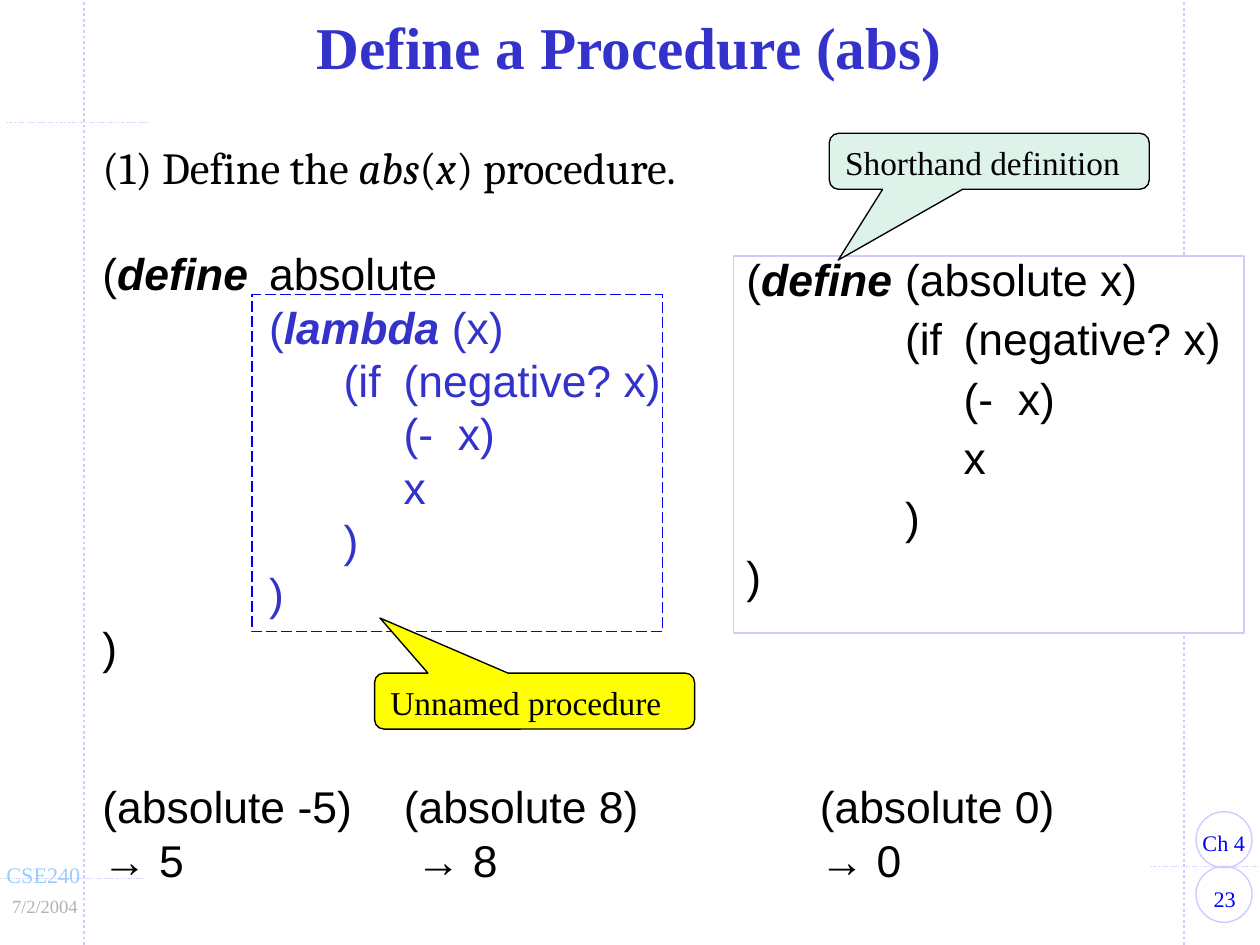
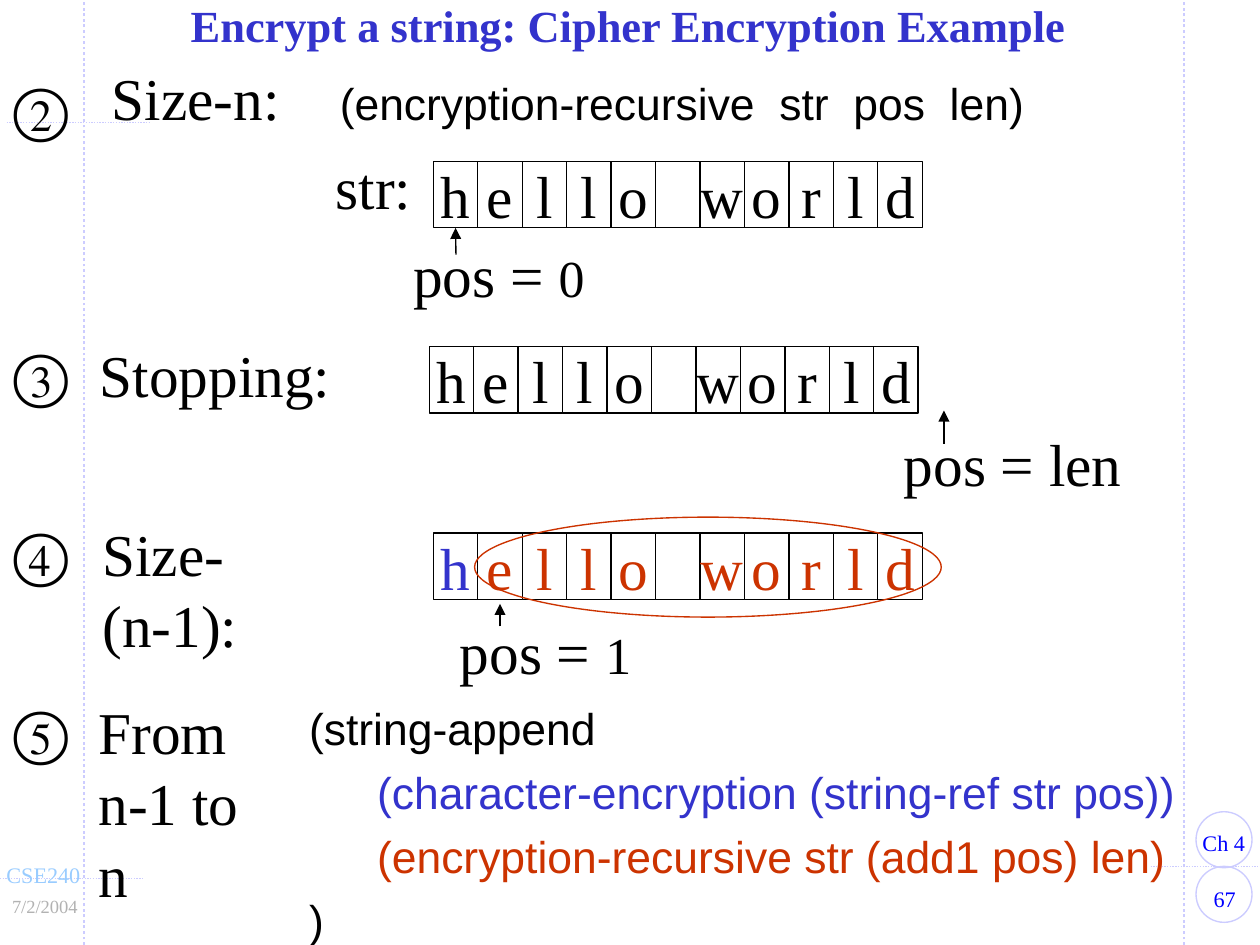
from lxml import etree
from pptx import Presentation
from pptx.dml.color import RGBColor
from pptx.enum.dml import MSO_LINE
from pptx.enum.shapes import MSO_CONNECTOR, MSO_SHAPE
from pptx.enum.text import MSO_ANCHOR, MSO_AUTO_SIZE, PP_ALIGN
from pptx.oxml.ns import qn
from pptx.util import Inches, Pt

RECT = MSO_SHAPE.RECTANGLE
OVAL = MSO_SHAPE.OVAL
CALLOUT = MSO_SHAPE.ROUNDED_RECTANGULAR_CALLOUT
STRAIGHT = MSO_CONNECTOR.STRAIGHT
DOTTED = MSO_LINE.ROUND_DOT
DASHED = MSO_LINE.LONG_DASH
LEFT, CENTER, RIGHT = PP_ALIGN.LEFT, PP_ALIGN.CENTER, PP_ALIGN.RIGHT
TOP, MIDDLE = MSO_ANCHOR.TOP, MSO_ANCHOR.MIDDLE
NO_AUTOFIT = MSO_AUTO_SIZE.NONE

COLORS = {
    "black": "000000",
    "white": "FFFFFF",
    "indigo": "3333CC",
    "blue": "0000FF",
    "lavender": "CCCCFF",
    "sky": "99CCFF",
    "gray": "B2B2B2",
    "yellow": "FFFF00",
    "mint": "DDF3EA",
    "red": "CC3300",
}
SERIF, SANS, MATH = "Times New Roman", "Arial", "Cambria"
WIDTH, HEIGHT = 9.45, 7.09
CELL_W, CELL_H = 1 / 3, 0.5
BOLD_ITALIC = {"bold": True, "italic": True}
ITALIC = {"italic": True}
INDIGO = {"color": "indigo"}
RED = {"color": "red"}


def rgb(name):
    return RGBColor.from_string(COLORS[name])


class Deck:
    def __init__(self):
        self.prs = Presentation()
        self.prs.slide_width = Inches(WIDTH)
        self.prs.slide_height = Inches(HEIGHT)
        self.s = None

    def slide(self, title, at, size, number):
        self.s = self.prs.slides.add_slide(self.prs.slide_layouts[5])
        self.frame(number)
        sp = self.s.shapes.title
        sp.left, sp.top, sp.width, sp.height = map(Inches, at)
        tf = sp.text_frame
        tf.auto_size = NO_AUTOFIT
        tf.word_wrap = True
        tf.vertical_anchor = MIDDLE
        self.fill_text(tf, [[(title, {"bold": True})]], size, color="indigo",
                       align=CENTER, leading=1.02)

    def frame(self, number):
        for x in (0.63, 8.88):
            self.line((x, HEIGHT), (x, 0), "lavender", 1.5, DOTTED)
        for x1, x2, y in ((0, 1.08, 6.59), (8.63, WIDTH, 6.5), (0.05, 1.13, 0.92)):
            self.line((x1, y), (x2, y), "lavender", 0.75, DOTTED)
        for y in (6.09, 6.5):
            self.shape(OVAL, (8.97, y, 0.42, 0.42), "lavender")
        self.text((8.92, 6.17, 0.52, 0.3), [["Ch 4"]], 12, color="blue")
        self.text((8.92, 6.59, 0.53, 0.3), [[str(number)]], 12, color="blue",
                  align=CENTER)
        self.text((-0.05, 6.41, 0.76, 0.3), [["CSE240"]], 12, color="sky")
        self.text((-0.01, 6.67, 0.69, 0.27), [["7/2/2004"]], 10, color="gray",
                  align=RIGHT)

    def fill_text(self, tf, paragraphs, size, font=SERIF, color="black", align=LEFT,
                  leading=1.2, first_leading=None, before=0, tabs=()):
        for i, runs in enumerate(paragraphs):
            p = tf.add_paragraph() if i else tf.paragraphs[0]
            if tabs:
                tab_list = etree.SubElement(p._p.get_or_add_pPr(), qn("a:tabLst"))
                for tab in tabs:
                    etree.SubElement(tab_list, qn("a:tab"), pos=str(Inches(tab)),
                                     algn="l")
            p.alignment = align
            ratio = leading if i else first_leading or leading
            p.line_spacing = Pt(round(ratio * size, 2))
            p.space_before = Pt(before if i else 0)
            for run in runs:
                text, style = (run, {}) if isinstance(run, str) else run
                r = p.add_run()
                r.text = text
                r.font.name = style.get("font", font)
                r.font.size = Pt(style.get("size", size))
                r.font.bold = style.get("bold", False)
                r.font.italic = style.get("italic", False)
                r.font.color.rgb = rgb(style.get("color", color))

    def text(self, at, paragraphs, size, wrap=False, **style):
        sp = self.s.shapes.add_textbox(*map(Inches, at))
        sp.text_frame.word_wrap = wrap
        self.fill_text(sp.text_frame, paragraphs, size, **style)

    def shape(self, kind, at, line, fill=None, dash=None):
        sp = self.s.shapes.add_shape(kind, *map(Inches, at))
        sp.shadow.inherit = False
        if fill:
            sp.fill.solid()
            sp.fill.fore_color.rgb = rgb(fill)
        else:
            sp.fill.background()
        sp.line.color.rgb = rgb(line)
        sp.line.width = Pt(0.75)
        if dash:
            sp.line.dash_style = dash
        sp.text_frame.vertical_anchor = TOP
        return sp

    def callout(self, at, label, fill, tip):
        sp = self.shape(CALLOUT, at, "black", fill)
        for i, value in enumerate((*tip, 0.167)):
            sp.adjustments[i] = value
        self.fill_text(sp.text_frame, [[label]], 18)

    def line(self, start, end, color="black", width=0.75, dash=None, arrow=False):
        c = self.s.shapes.add_connector(STRAIGHT, *map(Inches, (*start, *end)))
        c.line.color.rgb = rgb(color)
        c.line.width = Pt(width)
        if dash:
            c.line.dash_style = dash
        spPr = c.element.spPr
        if arrow:
            etree.SubElement(spPr.find(qn("a:ln")), qn("a:tailEnd"), type="triangle")
        etree.SubElement(spPr, qn("a:effectLst"))
        return c

    def cells(self, left, top, word, fill=None, first="black", rest="black"):
        cells = []
        for i, letter in enumerate(word):
            sp = self.shape(RECT, (left + i * CELL_W, top, CELL_W, CELL_H),
                            "black", fill)
            tf = sp.text_frame
            tf.margin_left = tf.margin_right = tf.margin_top = tf.margin_bottom = 0
            tf.vertical_anchor = MIDDLE
            tf.word_wrap = False
            if letter.strip():
                self.fill_text(tf, [[letter]], 32, color=rest if i else first,
                               align=CENTER)
            cells.append(sp)
        return cells

    def step(self, number, top, label_at, lines):
        self.text((0, top, 0.6, 0.63), [[number]], 32)
        self.text(label_at, [[line] for line in lines], 32)

    def pointer(self, x, tail_y, head_y, label_at, value, size):
        arrow = self.line((x, tail_y), (x, head_y), arrow=True)
        self.text(label_at, [["pos = ", (value, {"size": size})]], 32)
        return arrow


def define_procedure(deck):
    deck.slide("Define a Procedure (abs)", (0.69, 0.05, 8.06, 0.67), 32, 23)
    deck.text((0.67, 1, 5, 0.5),
              [["(1) Define the ", ("abs", ITALIC), "(", ("x", ITALIC),
                ") procedure."]], 24, wrap=True, font=MATH)
    body = ["\t\t(if\t(negative? x)", "\t\t\t(-  x)", "\t\t\tx", "\t\t)", "\t)"]
    deck.text((0.67, 1.8, 4.8, 3.3),
              [["(", ("define", BOLD_ITALIC), "\tabsolute"],
               [("\t(", INDIGO), ("lambda", {**BOLD_ITALIC, **INDIGO}),
                (" (x)", INDIGO)],
               *[[(line, INDIGO)] for line in body],
               [")"]], 24, wrap=True, font=SANS, tabs=(1.25, 1.81, 2.26))
    deck.text((0.67, 5.8, 8.08, 0.9),
              [["(absolute -5) \t(absolute 8) \t(absolute 0)"],
               ["→ 5\t → 8\t→ 0"]], 24, wrap=True, font=SANS, tabs=(2.26, 5.38))
    sp = deck.shape(RECT, (5.5, 1.92, 3.83, 2.83), "lavender", "white")
    deck.fill_text(sp.text_frame,
                   [["(", ("define", BOLD_ITALIC), "\t(absolute x)"],
                    ["\t(if\t(negative? x)"], ["\t\t(-  x)"], ["\t\tx"], ["\t)"],
                    [")"]],
                   24, font=SANS, leading=0.84, first_leading=0.96, before=12,
                   tabs=(1.19, 1.63))
    deck.shape(RECT, (1.89, 2.21, 3.08, 2.53), "blue", dash=DASHED)
    deck.callout((2.81, 5.05, 2.4, 0.42), "Unnamed procedure", "yellow",
                 (-0.483, -1.484))
    deck.callout((6.22, 1, 2.4, 0.42), "Shorthand definition", "mint",
                 (-0.472, 1.766))


def encrypt_string(deck):
    word = "hello world"
    deck.slide("Encrypt a string: Cipher Encryption Example",
               (0.42, -0.12, 8.58, 0.67), 24, 67)

    deck.text((0, 0.49, 0.6, 0.63), [["②"]], 32)
    deck.text((0.74, 0.41, 7.11, 0.64),
              [["Size-n:\t", ("(encryption-recursive  str  pos  len)",
                              {"font": SANS, "size": 24})]],
              32, wrap=True, tabs=(1.71,))
    deck.text((2.42, 1.08, 0.77, 0.63), [["str:"]], 32)
    cells = deck.cells(3.25, 1.21, word)
    arrow = deck.pointer(3.42, 1.91, 1.71, (3, 1.74, 1.53, 0.64), "0", 28)
    arrow.end_connect(cells[0], 2)

    deck.step("③", 2.49, (0.65, 2.49, 1.93, 0.63), ["Stopping:"])
    deck.cells(3.22, 2.6, word)
    deck.pointer(7.08, 3.33, 3.08, (6.68, 3.16, 1.85, 0.64), "len", 32)

    deck.step("④", 3.83, (0.67, 3.83, 2.12, 0.63), ["Size-(n-1):"])
    deck.cells(3.25, 4, word, "white", "indigo", "red")
    deck.pointer(3.75, 4.7, 4.53, (3.35, 4.57, 1.53, 0.64), "1", 28)
    deck.shape(OVAL, (3.56, 3.88, 3.5, 0.75), "red")

    deck.step("⑤", 5.17, (0.64, 5.17, 1.58, 1.17), ["From", "n-1 to n"])
    deck.text((2.22, 5.13, 6.9, 2.02),
              [["(string-append"],
               [("\t(character-encryption (string-ref str pos))", INDIGO)],
               [("\t(encryption-recursive str (add1 pos) len)", RED)],
               [")"]], 24, wrap=True, font=SANS, leading=1.44, tabs=(0.51,))


def main():
    deck = Deck()
    define_procedure(deck)
    encrypt_string(deck)
    deck.prs.save("out.pptx")


if __name__ == "__main__":
    main()
